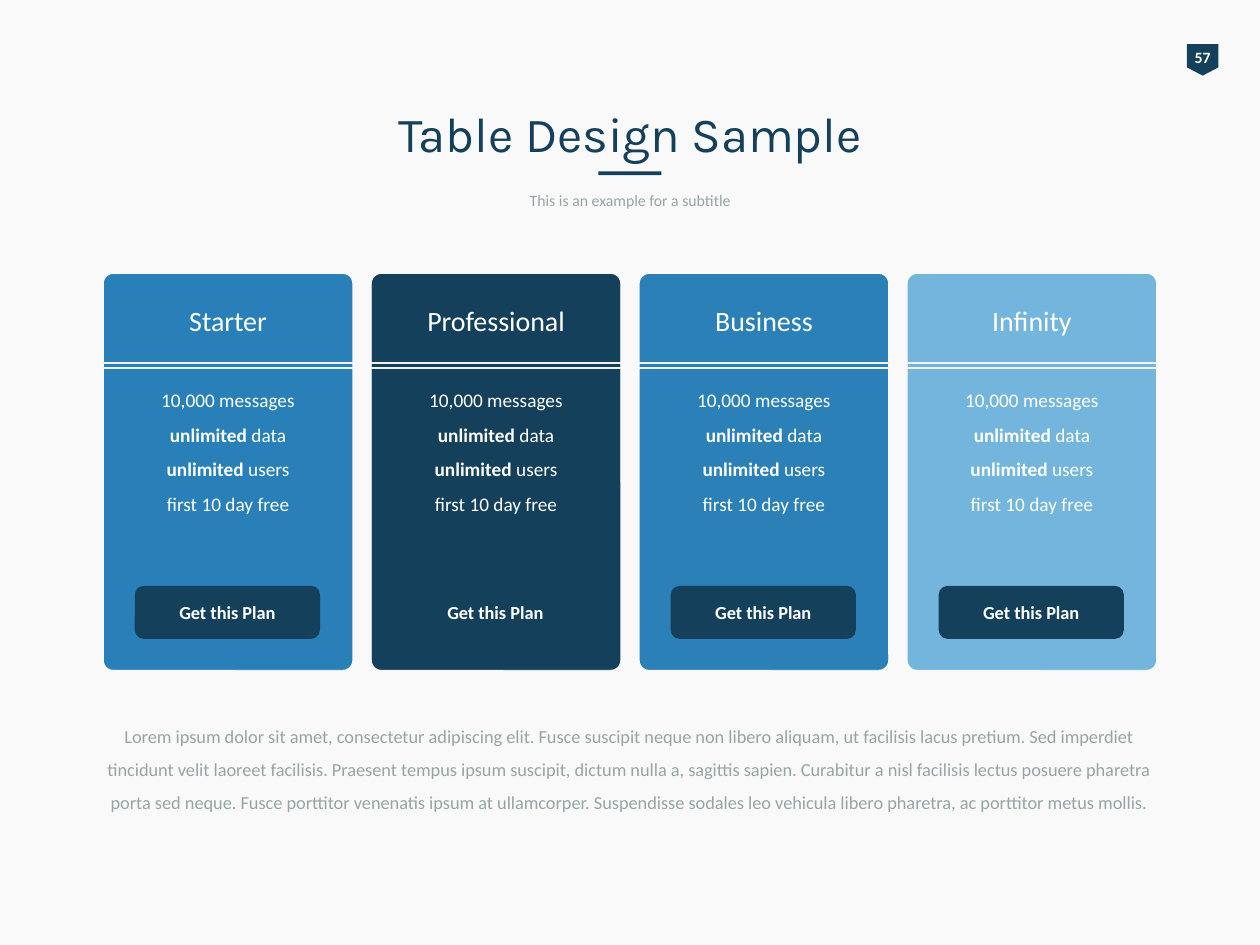
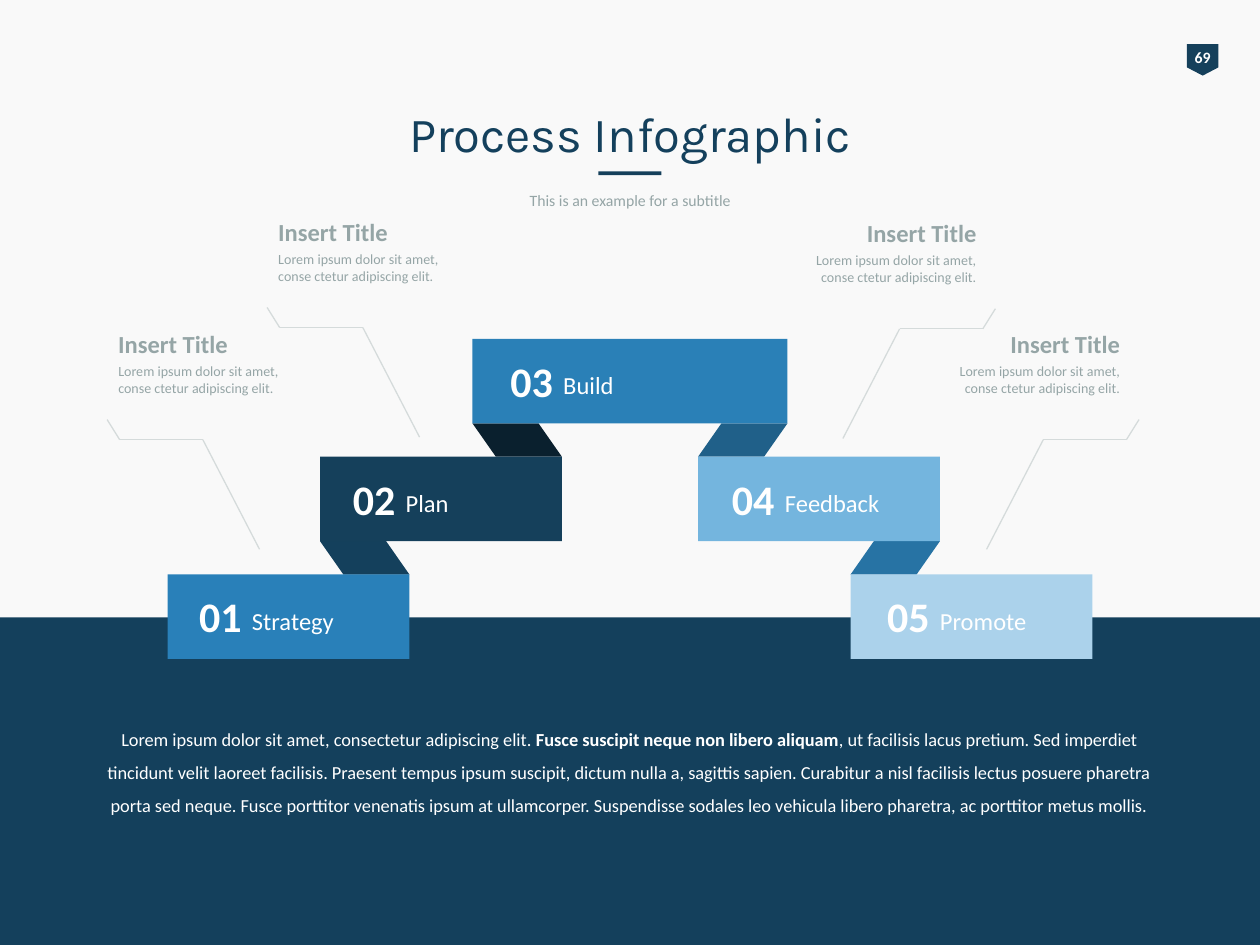
"""Build a pricing table slide and a process infographic slide."""
import itertools

import lxml.etree
import pptx
import pptx.dml.color
import pptx.enum.shapes
import pptx.enum.text
import pptx.oxml.ns
import pptx.util

SHAPE = pptx.enum.shapes.MSO_SHAPE
ALIGN = pptx.enum.text.PP_ALIGN
ANCHOR = pptx.enum.text.MSO_ANCHOR

COLUMNS, ROWS = 100, 75
CELL = pptx.util.Inches(0.1)

COLORS = {
    "paper": "F9F9F9", "white": "FFFFFF", "rule": "F2F2F2", "thread": "D5DBDB",
    "grey": "95A5A6", "ink": "14405C", "navy": "15405B", "blue": "2980B9",
    "azure": "2A80B7", "sky": "74B5DE", "ice": "ABD2EB", "night": "0A202E",
    "teal": "206089", "steel": "2773A4",
}

PLANS = [("Starter", "blue"), ("Professional", "navy"),
         ("Business", "azure"), ("Infinity", "sky")]
FEATURES = ["10,000 messages", "*unlimited* data", "*unlimited* users", "first 10 day free"]

STEPS = [
    ("01", "Strategy", 13.3, 0, 19.2, "blue", 2.5),
    ("02", "Plan", 25.4, 1, 19.2, "navy", 2.6),
    ("03", "Build", 37.5, 2, 25, "azure", 3),
    ("04", "Feedback", 55.4, 1, 19.2, "sky", 2.7),
    ("05", "Promote", 67.5, 0, 19.2, "ice", 2.9),
]
STEP_BASE, STEP_RISE, STEP_HEIGHT = 45.6, 9.35, 6.7
FOLD_COLORS = ["ink", "night", "teal", "steel"]

CALLOUT_TIPS = [(8.5, 33.3, 1), (21.2, 24.4, 1), (79, 24.5, -1), (90.4, 33.3, -1)]
CALLOUT_PATH = [(0, 0), (1, 1.6), (7.6, 1.6), (12.1, 10.3)]
CALLOUT_TEXT = "Lorem ipsum dolor sit amet, conse ctetur adipiscing elit."

OPENING = "Lorem ipsum dolor sit amet, consectetur adipiscing elit. "
EMPHASIS = "Fusce suscipit neque non libero aliquam"
CLOSING = (
    ", ut facilisis lacus pretium. Sed imperdiet tincidunt velit laoreet facilisis. "
    "Praesent tempus ipsum suscipit, dictum nulla a, sagittis sapien. Curabitur a nisl "
    "facilisis lectus posuere pharetra porta sed neque. Fusce porttitor venenatis ipsum at "
    "ullamcorper. Suspendisse sodales leo vehicula libero pharetra, ac porttitor metus mollis."
)


def color(name):
    """Return the named palette colour."""
    return pptx.dml.color.RGBColor.from_string(COLORS[name])


def grid(*cells):
    """Turn grid cells into slide lengths."""
    return [round(cell * CELL) for cell in cells]


def write(frame, lines, size, ink, align=ALIGN.CENTER, bold=False, font="Calibri",
          spacing=None, anchor=ANCHOR.TOP, inset=None):
    """Fill a text frame with lines in which *stars* mark bold words."""
    frame.word_wrap = True
    frame.auto_size = pptx.enum.text.MSO_AUTO_SIZE.NONE
    frame.vertical_anchor = anchor
    if inset is not None:
        frame.margin_left = frame.margin_right = inset
        frame.margin_top = frame.margin_bottom = inset
    for index, line in enumerate(lines):
        paragraph = frame.add_paragraph() if index else frame.paragraphs[0]
        paragraph.alignment = align
        paragraph.space_before = pptx.util.Pt(0)
        if spacing:
            paragraph.line_spacing = spacing
        for position, words in enumerate(line.split("*")):
            if words:
                run = paragraph.add_run()
                run.text = words
                run.font.name = font
                run.font.size = pptx.util.Pt(size)
                run.font.bold = bold or position % 2 == 1
                run.font.color.rgb = color(ink)


def add_text(slide, area, lines, size, ink, **style):
    """Add a text box on the given grid area."""
    write(slide.shapes.add_textbox(*grid(*area)).text_frame, lines, size, ink, **style)


def add_block(slide, kind, area, fill, outline=None, adjust=None):
    """Add a flat preset shape on the given grid area."""
    block = slide.shapes.add_shape(kind, *grid(*area))
    block.shadow.inherit = False
    block.fill.solid()
    block.fill.fore_color.rgb = color(fill)
    if outline:
        block.line.color.rgb = color(outline)
        block.line.width = pptx.util.Pt(0.5)
    else:
        block.line.fill.background()
    if adjust is not None:
        block.adjustments[0] = adjust
    return block


def add_line(slide, start, end, stroke):
    """Add a thin straight line between two grid points."""
    line = slide.shapes.add_connector(
        pptx.enum.shapes.MSO_CONNECTOR.STRAIGHT, *grid(*start, *end))
    line.line.color.rgb = color(stroke)
    line.line.width = pptx.util.Pt(0.75)
    lxml.etree.SubElement(line._element.spPr, pptx.oxml.ns.qn("a:effectLst"))


def place(placeholder, area):
    """Move a placeholder onto the given grid area."""
    (placeholder.left, placeholder.top,
     placeholder.width, placeholder.height) = grid(*area)


def add_slide(deck, title, number):
    """Add a slide with its title, subtitle, accent bar and page badge."""
    slide = deck.slides.add_slide(deck.slide_layouts[1])
    heading, subtitle = slide.placeholders
    place(heading, (5, 8.4, 90, 4.3))
    write(heading.text_frame, [title], 28, "ink", font="Karla", anchor=ANCHOR.MIDDLE)
    place(subtitle, (5, 14.6, 90, 1.9))
    write(subtitle.text_frame, ["This is an example for a subtitle"], 9, "grey")
    properties = subtitle.text_frame.paragraphs[0]._p.get_or_add_pPr()
    properties.set("marL", "0")
    properties.set("indent", "0")
    lxml.etree.SubElement(properties, pptx.oxml.ns.qn("a:buNone"))
    add_block(slide, SHAPE.RECTANGLE, (47.5, 13.6, 5, 0.3), "navy")
    badge = add_block(slide, SHAPE.PENTAGON, (94.2, 3.5, 2.5, 2.5), "navy", adjust=0.26)
    badge.rotation = 90
    add_text(slide, (93.8, 3.8, 3.3, 1.9), [number], 9, "white", bold=True, inset=0)
    return slide


def add_plan(slide, left, width, name, fill):
    """Add one pricing card with its features and button."""
    add_block(slide, SHAPE.ROUNDED_RECTANGLE, (left, 21.7, width, 31.5), fill,
              outline="paper", adjust=0.04)
    add_text(slide, (left, 29.4, width, 20.2), FEATURES, 11, "white", spacing=1.5)
    add_text(slide, (left, 23.6, width, 3.7), [name], 16, "white", anchor=ANCHOR.MIDDLE)
    button = add_block(slide, SHAPE.ROUNDED_RECTANGLE, (left + 2.5, 46.5, width - 5.1, 4.2), "ink")
    write(button.text_frame, ["Get this Plan"], 10.5, "white", bold=True, anchor=ANCHOR.MIDDLE)
    for row in (28.8, 29.2):
        add_line(slide, (left, row), (left + width, row), "rule")


def step_top(level):
    """Return the grid row where a step of this level starts."""
    return STEP_BASE - STEP_RISE * level


def add_step(slide, number, label, left, level, width, fill, indent):
    """Add one numbered step of the staircase."""
    top = step_top(level)
    add_block(slide, SHAPE.RECTANGLE, (left, top, width, STEP_HEIGHT), fill)
    add_text(slide, (left + indent, top + 1.3, 4, 4), [number], 24, "white",
             align=ALIGN.LEFT, bold=True, inset=0)
    add_text(slide, (left + indent + 4.2, top + 2.5, 10, 2.4), [label], 14, "white",
             align=ALIGN.LEFT, inset=0)


def add_fold(slide, before, after, fill):
    """Add the ribbon fold that joins two neighbouring steps."""
    left = max(before[2], after[2])
    right = min(before[2] + before[4], after[2] + after[4])
    top = step_top(max(before[3], after[3])) + STEP_HEIGHT
    fold = add_block(slide, SHAPE.PARALLELOGRAM,
                     (left, top, right - left, STEP_RISE - STEP_HEIGHT), fill, adjust=0.7)
    if after[3] > before[3]:
        fold._element.spPr.xfrm.set("flipH", "1")


def add_callout(slide, tip, top, side):
    """Add a bent pointer with a title and a note; side -1 mirrors it."""
    corners = [(tip + side * across, top + down) for across, down in CALLOUT_PATH]
    for start, end in itertools.pairwise(corners):
        add_line(slide, start, end, "thread")
    align = ALIGN.LEFT if side > 0 else ALIGN.RIGHT
    for line, size, width, lift in (("Insert Title", 14, 17.6, 7.7),
                                    (CALLOUT_TEXT, 8, 16.1, 5)):
        left = tip - 0.1 if side > 0 else tip - 0.5 - width
        add_text(slide, (left, top - lift, width, 4.6), [line], size, "grey",
                 align=align, bold=size == 14)


def add_summary(slide, top, text, ink):
    """Add the closing paragraph."""
    add_text(slide, (6.6, top, 86.7, 11.9), [text], 10.5, ink, spacing=1.5)


def build_pricing(deck):
    """Build the pricing table slide."""
    slide = add_slide(deck, "Table Design Sample", "57")
    margin, width = 8.2, 19.8
    pitch = (COLUMNS - 2 * margin - width) / (len(PLANS) - 1)
    for index, (name, fill) in enumerate(PLANS):
        add_plan(slide, margin + index * pitch, width, name, fill)
    add_summary(slide, 56.2, OPENING + EMPHASIS + CLOSING, "grey")


def build_process(deck):
    """Build the process infographic slide."""
    slide = add_slide(deck, "Process Infographic", "69")
    add_block(slide, SHAPE.RECTANGLE, (0, 49, COLUMNS, ROWS - 49), "ink")
    for (before, after), fill in zip(itertools.pairwise(STEPS), FOLD_COLORS):
        add_fold(slide, before, after, fill)
    for step in STEPS:
        add_step(slide, *step)
    for callout in CALLOUT_TIPS:
        add_callout(slide, *callout)
    add_summary(slide, 56.4, f"{OPENING}*{EMPHASIS}*{CLOSING}", "white")


def main():
    """Build and save the deck."""
    deck = pptx.Presentation()
    deck.slide_width, deck.slide_height = grid(COLUMNS, ROWS)
    backdrop = deck.slide_master.background.fill
    backdrop.solid()
    backdrop.fore_color.rgb = color("paper")
    build_pricing(deck)
    build_process(deck)
    deck.save("out.pptx")


if __name__ == "__main__":
    main()
